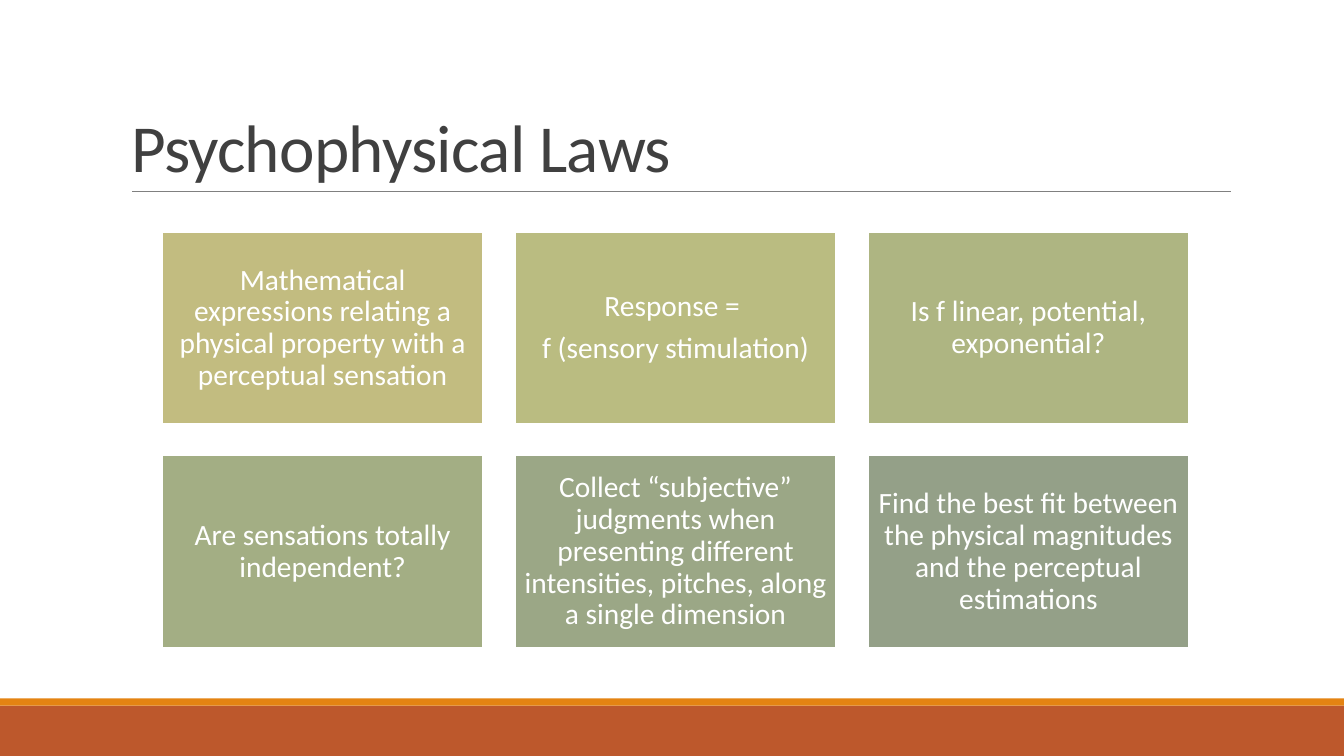
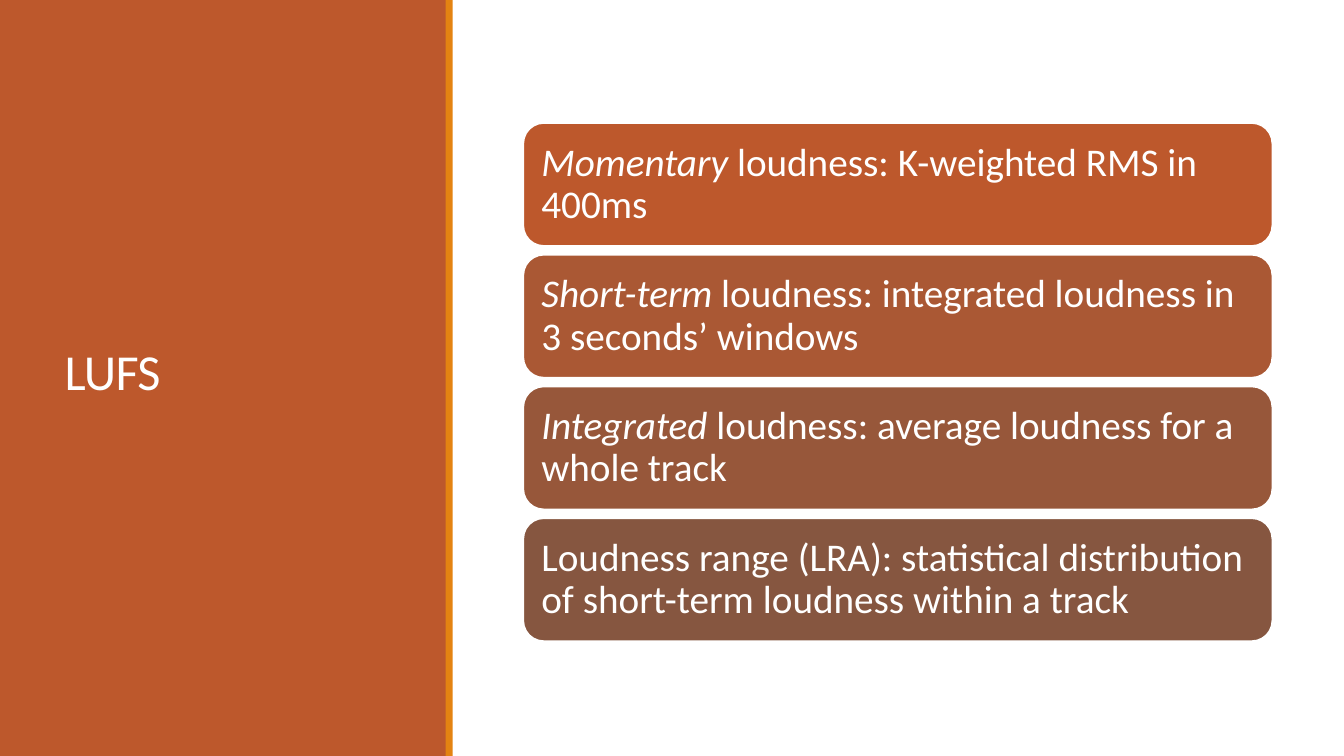
import pptx
import pptx.dml.color
import pptx.enum.shapes
import pptx.enum.text
import pptx.oxml
import pptx.oxml.ns
import pptx.util

Inches = pptx.util.Inches
Pt = pptx.util.Pt
SHAPE = pptx.enum.shapes.MSO_SHAPE
ALIGN = pptx.enum.text.PP_ALIGN
ANCHOR = pptx.enum.text.MSO_ANCHOR

WIDTH, HEIGHT = 13.33, 7.5
FONT = "Calibri"
RUST, ORANGE, WHITE = "BD582C", "E48312", "FFFFFF"
DARK, GREY = "404040", "808080"


def rgb(value):
    return pptx.dml.color.RGBColor.from_string(value)


def write(tf, paragraphs, size, color=WHITE, align=ALIGN.LEFT, anchor=ANCHOR.MIDDLE,
          inset=None, spacing=0.9, after=0, tracking=None):
    """Fill a text frame; each paragraph is a list of (text, italic) runs."""
    tf.word_wrap = True
    tf.auto_size = pptx.enum.text.MSO_AUTO_SIZE.NONE
    tf.vertical_anchor = anchor
    if inset is not None:
        tf.margin_left = tf.margin_right = Inches(inset)
        tf.margin_top = tf.margin_bottom = Inches(inset)
    for i, runs in enumerate(paragraphs):
        p = tf.add_paragraph() if i else tf.paragraphs[0]
        p.alignment = align
        p.line_spacing = spacing
        p.space_before = Pt(0)
        p.space_after = Pt(after)
        for text, italic in runs:
            r = p.add_run()
            r.text = text
            r.font.name = FONT
            r.font.size = Pt(size)
            r.font.italic = italic
            r.font.color.rgb = rgb(color)
            if tracking is not None:
                r.font._element.set("spc", str(round(tracking * 100)))


class Deck:
    """Presentation style together with the slide being built."""

    def __init__(self):
        self.prs = pptx.Presentation()
        self.prs.slide_width = Inches(WIDTH)
        self.prs.slide_height = Inches(HEIGHT)
        self.s = None

    def new_slide(self):
        self.s = self.prs.slides.add_slide(self.prs.slide_layouts[5])

    def title(self, text, x, y, w, h, size, color, anchor):
        sp = self.s.shapes.title
        sp.left, sp.top, sp.width, sp.height = map(Inches, (x, y, w, h))
        write(sp.text_frame, [[(text, False)]], size, color=color, anchor=anchor,
              spacing=0.85, tracking=-0.5)
        sp.element.getparent().append(sp.element)  # in front of the panels

    def box(self, x, y, w, h, fill, shape=SHAPE.RECTANGLE, outline=None):
        sp = self.s.shapes.add_shape(shape, *map(Inches, (x, y, w, h)))
        sp.shadow.inherit = False
        sp.fill.solid()
        sp.fill.fore_color.rgb = rgb(fill)
        if outline:
            sp.line.color.rgb = rgb(outline)
            sp.line.width = Pt(1.25)
        else:
            sp.line.fill.background()
        return sp

    def card(self, x, y, w, h, fill, paragraphs, shape=SHAPE.RECTANGLE, **text_format):
        sp = self.box(x, y, w, h, fill, shape, outline=WHITE)
        write(sp.text_frame, paragraphs, **text_format)

    def rule(self, x1, x2, y):
        line = self.s.shapes.add_connector(
            pptx.enum.shapes.MSO_CONNECTOR.STRAIGHT, *map(Inches, (x1, y, x2, y)))
        line.line.color.rgb = rgb(GREY)
        line.line.width = Pt(0.5)
        sp_pr = line._element.spPr
        sp_pr.append(pptx.oxml.parse_xml(
            "<a:effectLst %s/>" % pptx.oxml.ns.nsdecls("a")))


def laws_slide(deck):
    deck.new_slide()
    deck.box(0, 7, WIDTH, 0.5, RUST)
    deck.box(0, 6.93, WIDTH, 0.07, ORANGE)
    deck.rule(1.31, 12.21, 1.9)
    deck.title("Psychophysical Laws", 1.2, 0.31, 11, 1.59, 48, DARK, ANCHOR.BOTTOM)

    cards = [
        ("C2BC80", ["Mathematical expressions relating a physical property "
                    "with a perceptual sensation"]),
        ("BABC81", ["Response = ", "f (sensory stimulation)"]),
        ("AEB582", ["Is f linear, potential, exponential?"]),
        ("A3AE84", ["Are sensations totally independent?"]),
        ("9BA786", ["Collect “subjective” judgments when presenting different "
                    "intensities, pitches, along a single dimension"]),
        ("94A088", ["Find the best fit between the physical magnitudes and the "
                    "perceptual estimations"]),
    ]
    for i, (fill, lines) in enumerate(cards):
        row, col = divmod(i, 3)
        deck.card(1.61 + 3.5 * col, 2.3 + 2.22 * row, 3.18, 1.91, fill,
                  [[(line, False)] for line in lines],
                  size=21, align=ALIGN.CENTER, inset=0.09, after=7.35)


def lufs_slide(deck):
    deck.new_slide()
    deck.box(0, 0, 4.43, HEIGHT, RUST)
    deck.box(4.42, 0, 0.07, HEIGHT, ORANGE)
    deck.title("LUFS", 0.54, 0.57, 3.37, 6.31, 36, WHITE, ANCHOR.MIDDLE)

    measures = [
        (RUST, [("Momentary", True), (" loudness: K-weighted RMS in 400ms", False)]),
        ("AA5834", [("Short-term", True),
                    (" loudness: integrated loudness in 3 seconds’ windows", False)]),
        ("97573A", [("Integrated", True),
                    (" loudness: average loudness for a whole track", False)]),
        ("865640", [("Loudness range (LRA): statistical distribution of "
                     "short-term loudness within a track", False)]),
    ]
    for i, (fill, runs) in enumerate(measures):
        deck.card(5.19, 1.22 + 1.307 * i, 7.43, 1.22, fill, [runs],
                  shape=SHAPE.ROUNDED_RECTANGLE, size=28, inset=0.12, after=9.8)


def main():
    deck = Deck()
    laws_slide(deck)
    lufs_slide(deck)
    deck.prs.save("out.pptx")


if __name__ == "__main__":
    main()
